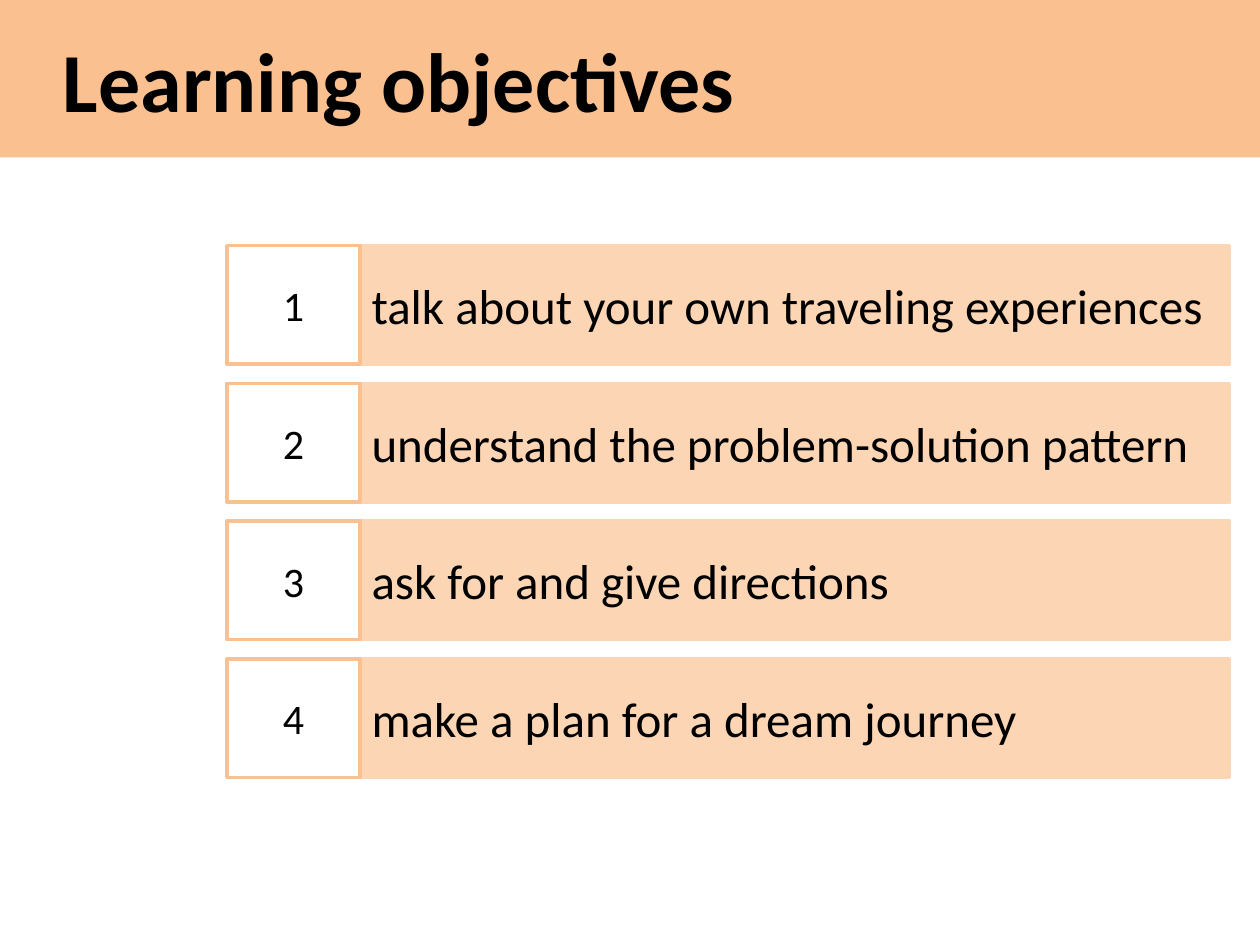
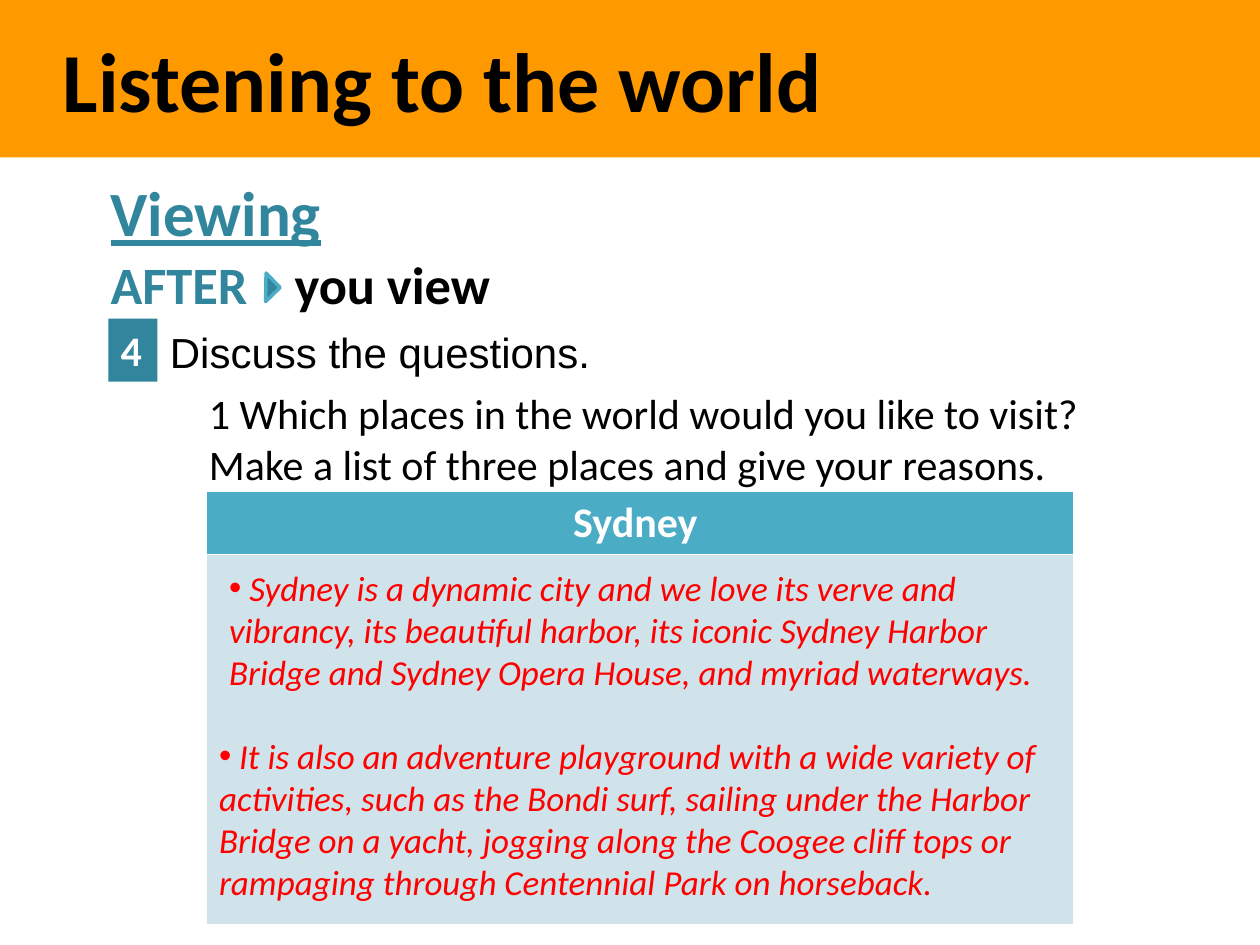
from lxml import etree
from pptx import Presentation
from pptx.dml.color import RGBColor
from pptx.enum.shapes import MSO_SHAPE
from pptx.enum.text import MSO_ANCHOR, PP_ALIGN
from pptx.oxml.ns import qn
from pptx.util import Inches, Pt

RECT = MSO_SHAPE.RECTANGLE
WEDGE = MSO_SHAPE.RIGHT_TRIANGLE
MIDDLE = MSO_ANCHOR.MIDDLE
TOP = MSO_ANCHOR.TOP
LEFT = PP_ALIGN.LEFT
CENTER = PP_ALIGN.CENTER

BLACK = RGBColor(0x00, 0x00, 0x00)
WHITE = RGBColor(0xFF, 0xFF, 0xFF)
PEACH = RGBColor(0xFA, 0xC0, 0x90)
PALE = RGBColor(0xFC, 0xD5, 0xB5)
ORANGE = RGBColor(0xFF, 0x99, 0x00)
TEAL = RGBColor(0x31, 0x85, 0x9C)
AQUA = RGBColor(0x4B, 0xAC, 0xC6)
MIST = RGBColor(0xD0, 0xE3, 0xEA)
RED = RGBColor(0xFF, 0x00, 0x00)


def write(frame, text, size, color=BLACK, bold=False, align=LEFT, face="Calibri"):
    frame.word_wrap = True
    para = frame.paragraphs[0]
    para.text = text
    para.alignment = align
    font = para.font
    font.name, font.size, font.bold = face, Pt(size), bold
    font.color.rgb = color
    return para


def block(slide, spot, fill, line=None, kind=RECT):
    shape = slide.shapes.add_shape(kind, *map(Inches, spot))
    shape.shadow.inherit = False
    shape.fill.solid()
    shape.fill.fore_color.rgb = fill
    if line is None:
        shape.line.fill.background()
    else:
        shape.line.color.rgb = line
        shape.line.width = Pt(2)
    shape.text_frame.vertical_anchor = MIDDLE
    return shape


deck = Presentation()
deck.slide_width, deck.slide_height = Inches(10), Inches(7.5)

pages = []
for title, color in [("Learning objectives", PEACH), ("Listening to the world", ORANGE)]:
    page = deck.slides.add_slide(deck.slide_layouts[6])
    band = block(page, (0, 0, 10, 1.25), color)
    band.text_frame.margin_left = Inches(0.5)
    write(band.text_frame, title, 48, bold=True)
    pages.append(page)
goals, view = pages

tasks = [
    "talk about your own traveling experiences",
    "understand the problem-solution pattern",
    "ask for and give directions",
    "make a plan for a dream journey",
]
step = (5.23 - 1.95) / 3
for i, task in enumerate(tasks):
    top = 1.95 + i * step
    bar = block(goals, (2.85, top, 6.91, 0.94), PALE, PALE)
    write(bar.text_frame, task, 28)
    tile = block(goals, (1.8, top, 1.06, 0.94), WHITE, PEACH)
    write(tile.text_frame, str(i + 1), 24, align=CENTER)

head = view.shapes.add_textbox(Inches(0.78), Inches(1.33), Inches(1.89), Inches(0.71))
write(head.text_frame, "Viewing", 36, TEAL, True).font.underline = True

badge = block(view, (0.86, 2.53, 0.39, 0.5), TEAL)
badge.text_frame.vertical_anchor = TOP
write(badge.text_frame, "4", 24, WHITE, True)

prompt = view.shapes.add_textbox(Inches(1.25), Inches(2.54), Inches(7.34), Inches(0.5))
write(prompt.text_frame, "Discuss the questions.", 24, face="Arial")

stage = view.shapes.add_textbox(Inches(0.78), Inches(1.95), Inches(4.3), Inches(0.61))
line = stage.text_frame.paragraphs[0]
tabs = etree.SubElement(line._p.get_or_add_pPr(), qn("a:tabLst"))
etree.SubElement(tabs, qn("a:tab"), pos=str(Inches(1.46)), algn="l")
write(stage.text_frame, "AFTER", 30, TEAL, True)
rest = line.add_run()
rest.text = "\tyou view"
rest.font.color.rgb = BLACK

arrow = block(view, (2.03, 2.2, 0.16, 0.16), TEAL, AQUA, WEDGE)
arrow.rotation = 225.9

query = view.shapes.add_textbox(Inches(1.56), Inches(3.03), Inches(7.58), Inches(0.91))
write(query.text_frame, "1 Which places in the world would you like to visit? "
      "Make a list of three places and give your reasons.", 24)

grid = view.shapes.add_table(2, 1, Inches(1.64), Inches(3.9), Inches(6.88), Inches(3.41)).table
for i, (high, fill) in enumerate([(0.47, AQUA), (2.94, MIST)]):
    grid.rows[i].height = Inches(high)
    cell = grid.cell(i, 0)
    cell.fill.solid()
    cell.fill.fore_color.rgb = fill
write(grid.cell(0, 0).text_frame, "Sydney ", 24, WHITE, True, CENTER)

notes = [
    ((1.72, 4.45, 6.72, 1.11),
     " Sydney is a dynamic city and we love its verve and vibrancy, its beautiful harbor, "
     "its iconic Sydney Harbor Bridge and Sydney Opera House, and myriad waterways."),
    ((1.64, 5.78, 6.8, 1.45),
     " It is also an adventure playground with a wide variety of activities, such as the "
     "Bondi surf, sailing under the Harbor Bridge on a yacht, jogging along the Coogee "
     "cliff tops or rampaging through Centennial Park on horseback."),
]
for spot, text in notes:
    box = view.shapes.add_textbox(*map(Inches, spot))
    props = box.text_frame.paragraphs[0]._p.get_or_add_pPr()
    etree.SubElement(props, qn("a:buFont"), typeface="Arial")
    etree.SubElement(props, qn("a:buChar"), char="•")
    write(box.text_frame, text, 20, RED).font.italic = True

deck.save("out.pptx")
